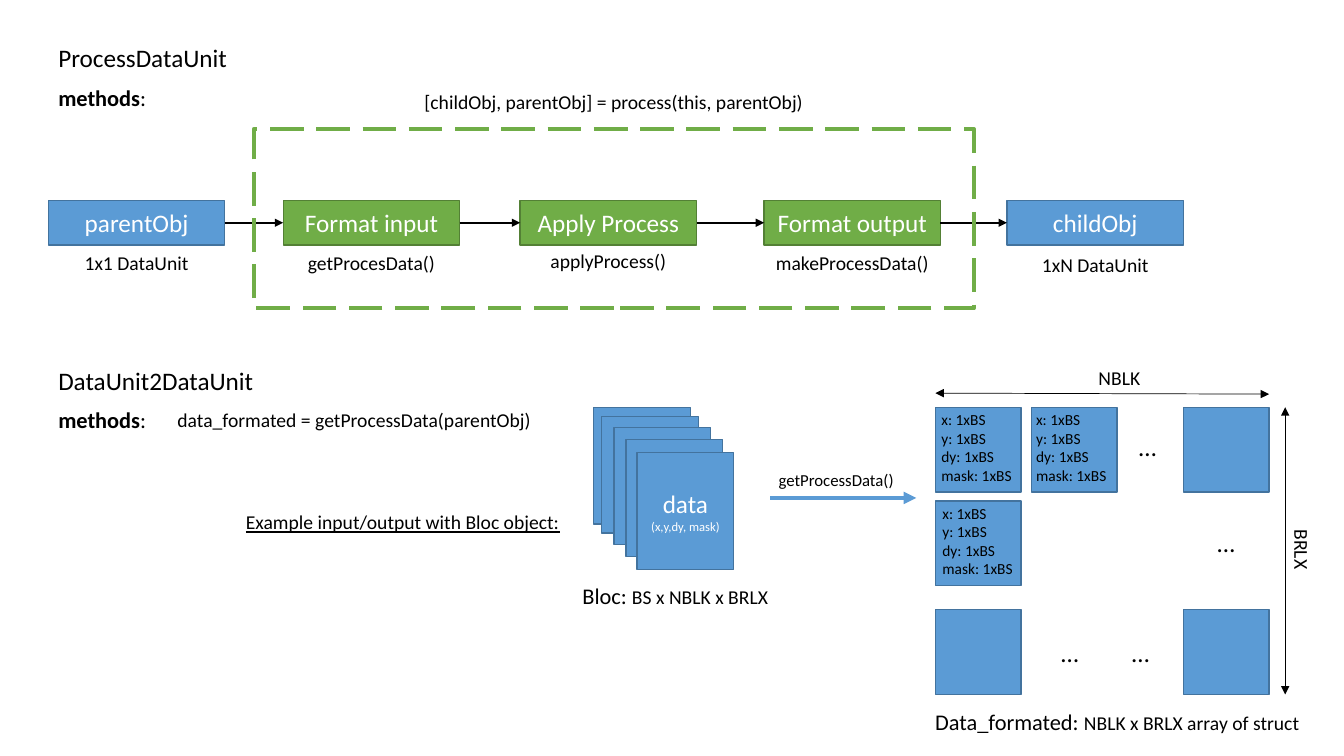
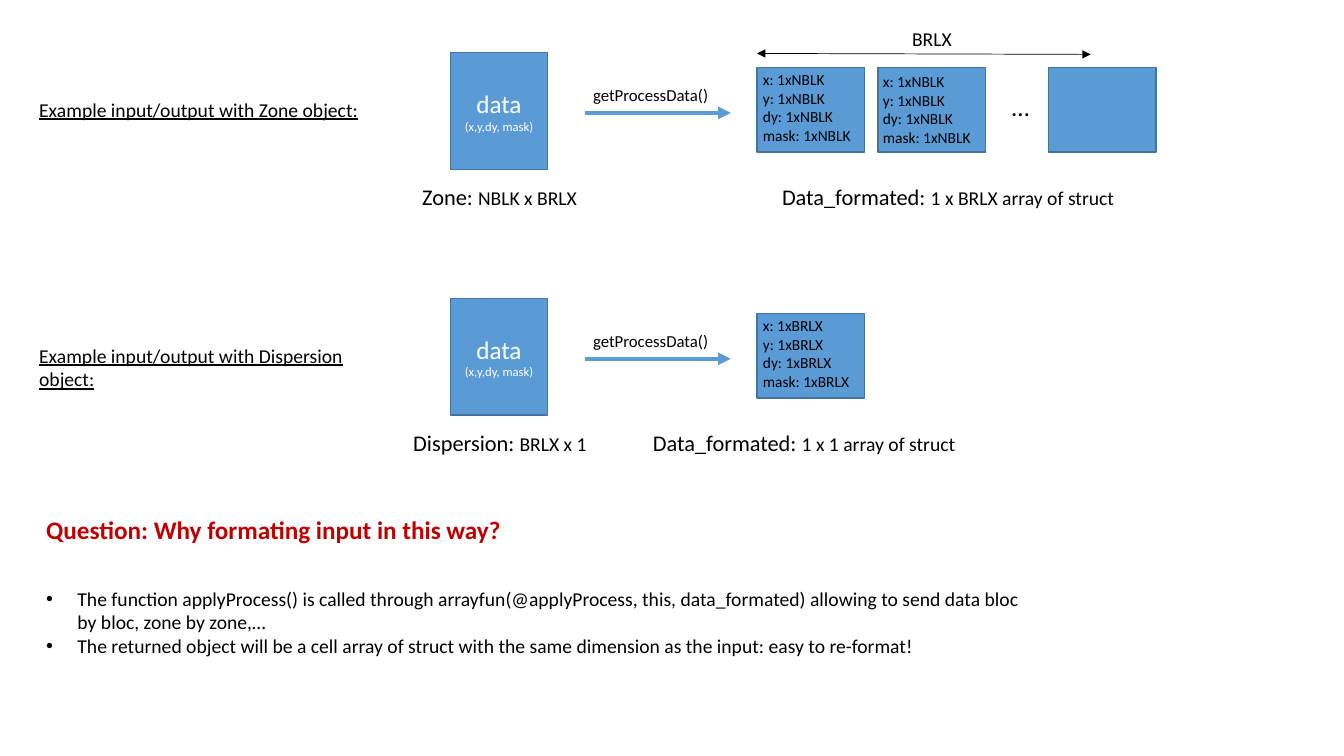
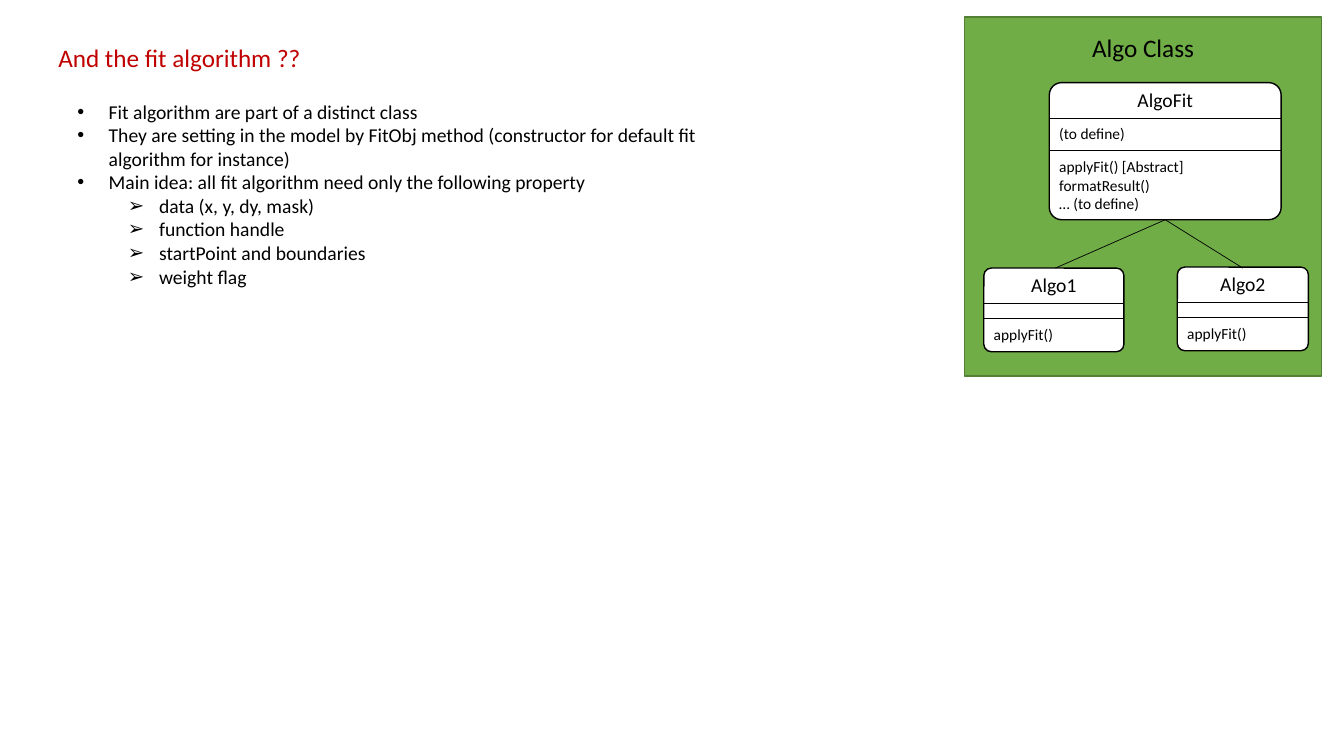
import pptx
import pptx.dml.color
import pptx.enum.dml
import pptx.enum.shapes
import pptx.enum.text
import pptx.oxml.ns
import pptx.util
from lxml import etree

CELL = pptx.util.Inches(0.1)
COLUMNS, ROWS = 133.33, 75
FONT = "Calibri"
BLACK, WHITE, RED = "000000", "FFFFFF", "C00000"
BLUE, BLUE_EDGE = "5B9BD5", "43739E"
GREEN, GREEN_EDGE = "70AD47", "538035"
TITLE, METHOD, BODY, CALL, SMALL, TINY = 18, 16, 14, 12, 11, 9
BLOCK_WIDTH, BLOCK_HEIGHT = 9.6, 11.6
STRUCT_WIDTH, STRUCT_HEIGHT = 8.5, 8.4
STEP_WIDTH, STEP_HEIGHT = 17.5, 4.4
ALIGNMENTS = {
    "left": pptx.enum.text.PP_ALIGN.LEFT,
    "center": pptx.enum.text.PP_ALIGN.CENTER,
}
BULLETS = {"•": 3.1, "➢": 8.1}
BULLET_HANG = 3.1


def cells(count):
    """Turn a number of grid cells into a length."""
    return pptx.util.Emu(round(count * CELL))


def color(value):
    """Turn a hex string into a colour."""
    return pptx.dml.color.RGBColor.from_string(value)


def add_element(parent, tag, **attributes):
    """Append a drawing element with its attributes."""
    return etree.SubElement(parent, pptx.oxml.ns.qn(tag), **attributes)


def set_bullet(paragraph, mark):
    """Give a paragraph a hanging bullet."""
    properties = paragraph._p.get_or_add_pPr()
    properties.set("marL", str(cells(BULLETS[mark])))
    properties.set("indent", str(-cells(BULLET_HANG)))
    add_element(properties, "a:buFont", typeface="Arial")
    add_element(properties, "a:buChar", char=mark)


def write_text(shape, lines, size=BODY, fill=BLACK, align="left", bold=False,
               underline=False, bullets=None):
    """Write lines, each a string or a list of (text, size, bold) runs."""
    lines = [lines] if isinstance(lines, str) else lines
    frame = shape.text_frame
    frame.word_wrap = True
    for index, line in enumerate(lines):
        paragraph = frame.paragraphs[0] if index == 0 else frame.add_paragraph()
        if bullets:
            paragraph.level = int(bullets[index] == "➢")
            set_bullet(paragraph, bullets[index])
        paragraph.alignment = ALIGNMENTS[align]
        runs = [(line, size, bold)] if isinstance(line, str) else line
        for text, run_size, run_bold in runs:
            run = paragraph.add_run()
            run.text = text
            run.font.name = FONT
            run.font.size = pptx.util.Pt(run_size)
            run.font.bold = run_bold
            run.font.underline = underline
            run.font.color.rgb = color(fill)


def add_text(slide, left, top, width, height, lines, rotation=0, **text_format):
    """Add a text box that grows with its text."""
    shape = slide.shapes.add_textbox(*map(cells, (left, top, width, height)))
    shape.rotation = rotation
    write_text(shape, lines, **text_format)
    shape.text_frame.auto_size = pptx.enum.text.MSO_AUTO_SIZE.SHAPE_TO_FIT_TEXT
    return shape


def add_box(slide, left, top, width, height, fill=BLUE, edge=BLUE_EDGE,
            weight=1, rounding=None, lines=None, size=TITLE):
    """Add a plain or rounded rectangle with optional centred white text."""
    kinds = pptx.enum.shapes.MSO_SHAPE
    kind = kinds.RECTANGLE if rounding is None else kinds.ROUNDED_RECTANGLE
    shape = slide.shapes.add_shape(kind, *map(cells, (left, top, width, height)))
    shape.shadow.inherit = False
    if rounding is not None:
        shape.adjustments[0] = rounding
    if fill:
        shape.fill.solid()
        shape.fill.fore_color.rgb = color(fill)
    else:
        shape.fill.background()
    shape.line.color.rgb = color(edge)
    shape.line.width = pptx.util.Pt(weight)
    if lines:
        shape.text_frame.vertical_anchor = pptx.enum.text.MSO_ANCHOR.MIDDLE
        write_text(shape, lines, size=size, fill=WHITE, align="center")
    return shape


def add_line(slide, start, end, stroke=BLACK, weight=0.5, ends=()):
    """Add a straight line with arrowheads at the named ends."""
    shape = slide.shapes.add_connector(
        pptx.enum.shapes.MSO_CONNECTOR.STRAIGHT, *map(cells, (*start, *end)))
    shape.line.color.rgb = color(stroke)
    shape.line.width = pptx.util.Pt(weight)
    for end_name in ends:
        add_element(shape.line._get_or_add_ln(), f"a:{end_name}End", type="triangle")
    add_element(shape._element.spPr, "a:effectLst")


def add_dimension(slide, start, end):
    """Add a thin double-headed arrow."""
    add_line(slide, start, end, ends=("head", "tail"))


def add_data_block(slide, left, top):
    """Add the data block that goes into getProcessData()."""
    add_box(slide, left, top, BLOCK_WIDTH, BLOCK_HEIGHT,
            lines=[[("data ", TITLE, False), ("(x,y,dy, mask)", TINY, False)]])


def add_struct(slide, left, top, size=None, width=STRUCT_WIDTH,
               text_left=-0.4, text_top=-0.2):
    """Add a struct cell, listing its fields when a size is given."""
    add_box(slide, left, top, width, STRUCT_HEIGHT)
    if size:
        fields = [f"{name}: 1x{size}" for name in ("x", "y", "dy", "mask")]
        add_text(slide, left + text_left, top + text_top, width + 1.4,
                 STRUCT_HEIGHT, fields, size=SMALL)


def add_call_arrow(slide, left, row):
    """Add the blue arrow labelled getProcessData()."""
    add_line(slide, (left, row), (left + 14.5, row), BLUE, 3, ["tail"])
    add_text(slide, left - 2.2, row - 3.25, 17.5, 3, "getProcessData()",
             size=CALL, align="center")


def add_caption(slide, left, top, width, name, dimensions, align="left"):
    """Add a name followed by its dimensions in smaller type."""
    runs = [(f"{name}: ", METHOD, False), (dimensions, BODY, False)]
    add_text(slide, left, top, width, 3.7, [runs], align=align)


def add_heading(slide, top, title, fill=BLACK):
    """Add a section title."""
    add_text(slide, 4.8, top, 32.6, 4, title, size=TITLE, fill=fill)


def add_methods_label(slide, top):
    """Add the bold label that opens a list of methods."""
    runs = [("methods", METHOD, True), (":", METHOD, False)]
    add_text(slide, 4.8, top, 24.1, 3.7, [runs])


def add_ellipsis(slide, left, top):
    """Add a sign for omitted cells."""
    add_text(slide, left, top, 4.6, 4, "…", size=TITLE)


def add_class(slide, left, top, width, height, name, attribute_height, methods,
              attributes=None):
    """Add a class diagram box with name, attribute and method sections."""
    add_box(slide, left, top, width, height, WHITE, BLACK, rounding=0.09)
    first = top + 3.5
    second = first + attribute_height
    for row in (first, second):
        add_line(slide, (left, row), (left + width, row))
    add_text(slide, left, top, width, 3.4, name, align="center")
    if attributes:
        add_text(slide, left, first + 0.1, width, 2.9, attributes, size=SMALL)
    add_text(slide, left, second + 0.2, width, 4.7, methods, size=SMALL)


def add_example(slide, top, subject, prompt_width):
    """Add the prompt, data block and call arrow of one example."""
    add_text(slide, 2.9, top + 4, prompt_width, 3.4,
             f"Example input/output with {subject} object:", underline=True)
    add_data_block(slide, 44.7, top)
    add_call_arrow(slide, 58, top + 6)


def build_process_flow(slide):
    """Draw the chain of steps from parentObj to childObj."""
    steps = [
        (4.8, "parentObj", "1x1 DataUnit", 24.4, BLUE, BLUE_EDGE),
        (28.1, "Format input", "getProcesData()", 24.4, GREEN, GREEN_EDGE),
        (51.6, "Apply Process", "applyProcess()", 24.2, GREEN, GREEN_EDGE),
        (75.8, "Format output", "makeProcessData()", 24.4, GREEN, GREEN_EDGE),
        (99.9, "childObj", "1xN DataUnit", 24.6, BLUE, BLUE_EDGE),
    ]
    add_heading(slide, 3.7, "ProcessDataUnit")
    add_methods_label(slide, 7.9)
    for left, name, label, label_top, fill, edge in steps:
        add_box(slide, left, 19.9, STEP_WIDTH, STEP_HEIGHT, fill, edge, lines=name)
        add_text(slide, left, label_top, STEP_WIDTH, 3.4, label, align="center")
    for step, following in zip(steps, steps[1:]):
        add_line(slide, (step[0] + STEP_WIDTH, 22.1), (following[0], 22.1),
                 weight=1.5, ends=["tail"])
    frame = add_box(slide, 25.2, 12.8, 71.4, 17.8, None, GREEN, 3)
    frame.line.dash_style = pptx.enum.dml.MSO_LINE.LONG_DASH
    add_text(slide, 25.2, 8.4, 71.4, 3.4,
             "[childObj, parentObj] = process(this, parentObj)", align="center")


def build_bloc_example(slide):
    """Draw the Bloc input and its array of structs."""
    add_heading(slide, 35.8, "DataUnit2DataUnit")
    add_methods_label(slide, 39.8)
    add_text(slide, 13.5, 40, 43.3, 3.4,
             "data_formated = getProcessData(parentObj)", align="center")
    add_text(slide, 23.4, 50.1, 34.5, 3.4,
             "Example input/output with Bloc object:", underline=True)
    for left, top in ((58.9, 40.4), (59.7, 41.3), (60.9, 42.4), (62.1, 43.6)):
        add_box(slide, left, top, BLOCK_WIDTH, BLOCK_HEIGHT)
    add_data_block(slide, 63.2, 44.9)
    add_caption(slide, 56.8, 57.3, 29.8, "Bloc", "BS x NBLK x BRLX")
    add_call_arrow(slide, 76.4, 49.4)

    first, second, last = 92.8, 102.3, 117.4
    top, middle, bottom = 40.4, 49.7, 60.5
    add_struct(slide, first, top, "BS")
    add_struct(slide, second, top, "BS", text_left=-0.5)
    add_struct(slide, first, middle, "BS", text_left=-0.3)
    for left, row in ((last, top), (first, bottom), (last, bottom)):
        add_struct(slide, left, row)
    for left, row in ((112, 42.3), (104.3, 62.7), (111.3, 62.7), (119.8, 51.8)):
        add_ellipsis(slide, left, row)
    add_dimension(slide, (first, 39), (last + STRUCT_WIDTH, 39.1))
    add_dimension(slide, (127.5, top), (127.5, bottom + STRUCT_HEIGHT))
    add_text(slide, 102.3, 35.8, 17.5, 3.4, "NBLK", align="center")
    add_text(slide, 120.4, 52.8, 17.5, 3.4, "BRLX", rotation=90, align="center")
    add_caption(slide, 91.8, 69.8, 42, "Data_formated", "NBLK x BRLX array of struct")


def build_zone_and_dispersion(slide):
    """Draw the Zone and Dispersion examples and the question they raise."""
    struct_width = 10.7
    zone, dispersion = 5.2, 29.6
    add_example(slide, zone, "Zone", 34.5)
    add_caption(slide, 40.9, zone + 12.5, 29.8, "Zone", "NBLK x BRLX")
    add_struct(slide, 75.1, zone + 1.5, "NBLK", struct_width)
    add_struct(slide, 87.1, zone + 1.5, "NBLK", struct_width, -0.5, 0)
    add_struct(slide, 104, zone + 1.5, width=struct_width)
    add_ellipsis(slide, 99.4, zone + 3.4)
    add_dimension(slide, (75.1, 5.3), (108.2, 5.4))
    add_text(slide, 83.7, 2.2, 17.5, 3.4, "BRLX", align="center")
    add_caption(slide, 76.6, zone + 12.5, 42, "Data_formated", "1 x BRLX array of struct")

    add_example(slide, dispersion, "Dispersion", 38)
    add_caption(slide, 37.5, dispersion + 12.5, 24.2, "Dispersion", "BRLX x 1", "center")
    add_struct(slide, 75.1, dispersion + 1.5, "BRLX", struct_width)
    add_caption(slide, 63.8, dispersion + 12.5, 42, "Data_formated", "1 x 1 array of struct")

    add_text(slide, 3.6, 50.5, 83.5, 4, "Question: Why formating input in this way?",
             size=TITLE, fill=RED, bold=True)
    add_text(slide, 3.6, 57.7, 99.1, 8.1, [
        "The function applyProcess() is called through arrayfun(@applyProcess, this, "
        "data_formated) allowing to send data bloc by bloc, zone by zone,…",
        "The returned object will be a cell array of struct with the same dimension "
        "as the input: easy to re-format!",
    ], bullets="••")


def build_fit_algorithm(slide):
    """Describe the fit algorithm beside its class diagram."""
    add_heading(slide, 3.7, "And the fit algorithm ??", RED)
    add_text(slide, 6.7, 9.4, 67.4, 19.9, [
        "Fit algorithm are part of a distinct class",
        "They are setting in the model by FitObj method (constructor for default fit "
        "algorithm for instance)",
        "Main idea: all fit algorithm need only the following property",
        "data (x, y, dy, mask)",
        "function handle",
        "startPoint and boundaries",
        "weight flag",
    ], bullets="•••➢➢➢➢")
    add_box(slide, 95.7, 1.7, 35.4, 35.6, GREEN, GREEN_EDGE)
    add_text(slide, 95.7, 2.7, 35.4, 4, "Algo Class", size=TITLE, align="center")
    add_class(slide, 104.1, 8.2, 23, 13.6, "AlgoFit", 3.2,
              ["applyFit() [Abstract]", "formatResult()", "… (to define)"],
              "(to define)")
    add_class(slide, 97.6, 26.6, 13.9, 8.3, "Algo1", 1.5, "applyFit()")
    add_class(slide, 116.8, 26.5, 13, 8.3, "Algo2", 1.5, "applyFit()")
    for child in (104.7, 123.3):
        add_line(slide, (115.6, 21.8), (child, 26.6))


def main():
    """Build the presentation and save it."""
    presentation = pptx.Presentation()
    presentation.slide_width = cells(COLUMNS)
    presentation.slide_height = cells(ROWS)
    blank = presentation.slide_layouts[6]
    pages = [
        (build_process_flow, build_bloc_example),
        (build_zone_and_dispersion,),
        (build_fit_algorithm,),
    ]
    for builders in pages:
        slide = presentation.slides.add_slide(blank)
        for build in builders:
            build(slide)
    presentation.save("out.pptx")


if __name__ == "__main__":
    main()
